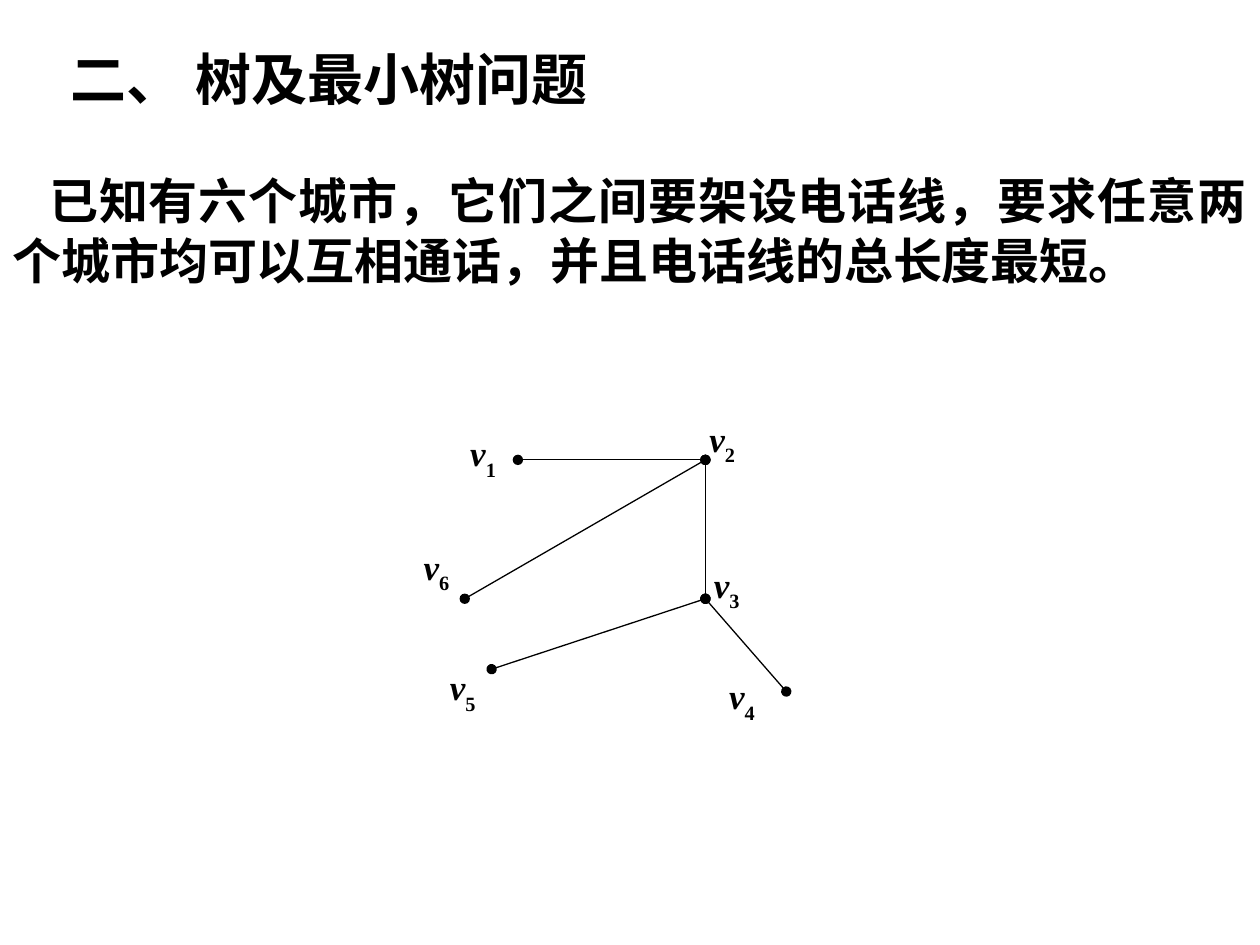
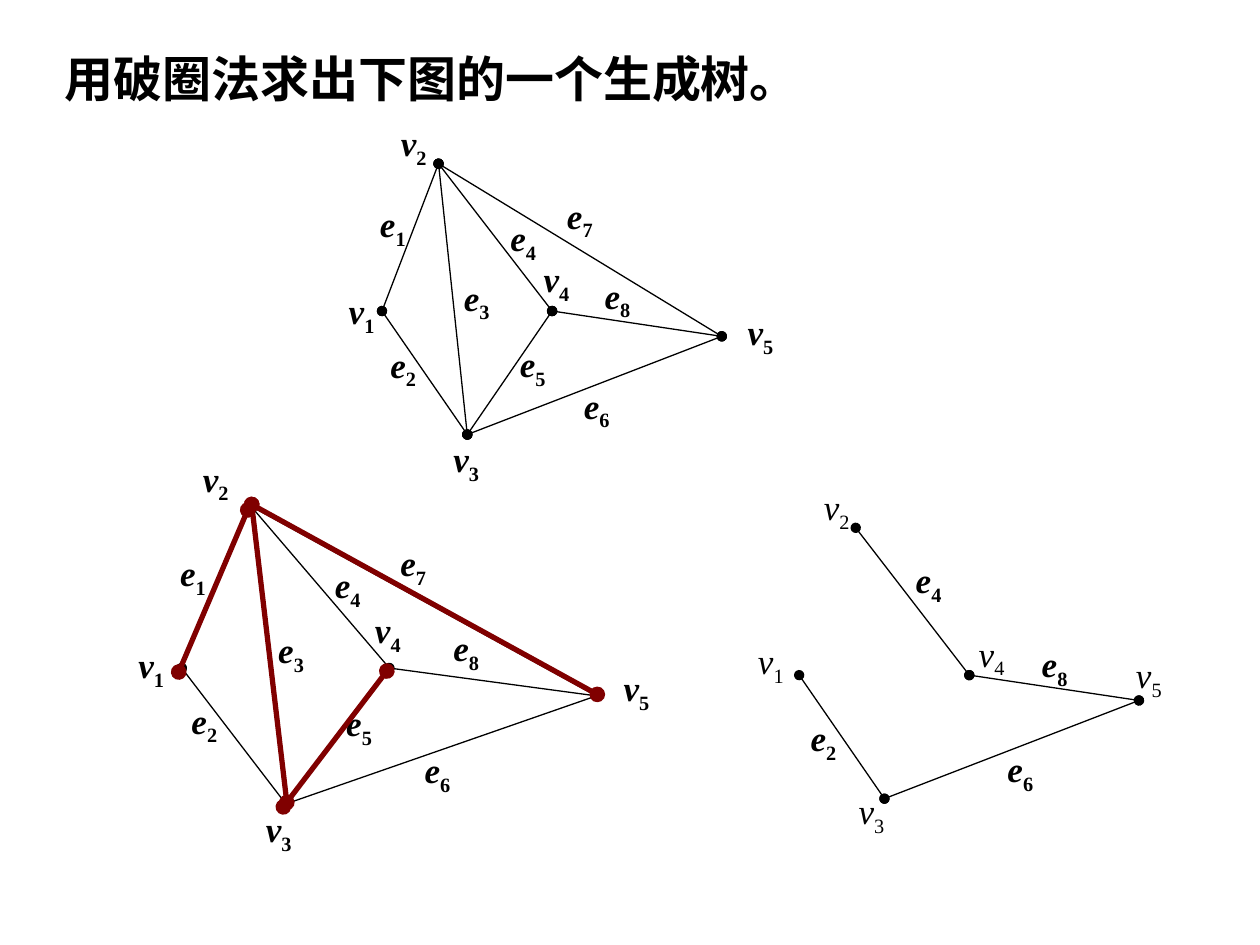
"""Build two slides on trees, spanning trees and the circuit-breaking method."""
from lxml import etree
from pptx import Presentation
from pptx.dml.color import RGBColor
from pptx.enum.shapes import MSO_CONNECTOR
from pptx.enum.text import PP_ALIGN
from pptx.oxml.ns import qn
from pptx.util import Cm, Pt

STRAIGHT = MSO_CONNECTOR.STRAIGHT
JUSTIFY = PP_ALIGN.JUSTIFY
COLORS = {"ink": "000000", "tree": "800000"}
HEADING_FONT = "Noto Sans CJK SC"
LABEL_FONT = "Times New Roman"
LINE_RATIO = 1.22

CITY_NODES = {
    "v1": (10.44, 9.27), "v2": (14.22, 9.27), "v3": (14.22, 12.07),
    "v4": (15.85, 13.94), "v5": (9.91, 13.49), "v6": (9.37, 12.07),
}
CITY_WIRES = {
    "v1-v2": ("v1", "v2"), "v2-v3": ("v2", "v3"), "v2-v6": ("v2", "v6"),
    "v3-v5": ("v3", "v5"), "v3-v4": ("v3", "v4"),
}
CITY_LABELS = {
    "v1": (9.23, 8.58), "v2": (14.05, 8.29), "v3": (14.14, 11.23),
    "v4": (14.45, 13.48), "v5": (8.82, 13.3), "v6": (8.29, 10.87),
}

NODES = {
    "v1": (7.7, 6.27), "v2": (8.84, 3.3), "v3": (9.42, 8.76),
    "v4": (11.13, 6.27), "v5": (14.55, 6.78),
}
EDGES = {
    "e1": ("v1", "v2"), "e2": ("v1", "v3"), "e6": ("v3", "v5"), "e7": ("v2", "v5"),
    "e3": ("v2", "v3"), "e4": ("v2", "v4"), "e5": ("v4", "v3"), "e8": ("v4", "v5"),
}
LABELS = {
    "v1": (6.78, 5.72), "v2": (7.83, 2.33), "v3": (8.89, 8.7),
    "v4": (10.71, 5.07), "v5": (14.82, 6.14),
    "e1": (7.41, 3.96), "e2": (7.62, 6.79), "e3": (9.1, 5.44), "e4": (10.04, 4.24),
    "e5": (10.23, 6.78), "e6": (11.52, 7.62), "e7": (11.18, 3.79), "e8": (11.94, 5.4),
}
COTREE_LABELS = {
    "v1": (15.03, 12.77), "v2": (16.36, 9.66), "v3": (17.06, 15.8),
    "v4": (19.48, 12.62), "v5": (22.65, 13.05),
    "e2": (16.09, 14.32), "e4": (18.21, 11.14), "e6": (20.06, 14.95), "e8": (20.75, 12.83),
}
TREE_LABELS = {
    "v1": (2.54, 12.85), "v2": (3.84, 9.09), "v3": (5.11, 16.15),
    "v4": (7.31, 12.14), "v5": (12.32, 13.31),
    "e1": (3.38, 11.0), "e2": (3.61, 13.97), "e3": (5.36, 12.55), "e4": (6.5, 11.23),
    "e5": (6.73, 14.02), "e6": (8.31, 14.96), "e7": (7.82, 10.8), "e8": (8.89, 12.5),
}
TREE_SHIFTS = {"e1": (-0.06, 0.08), "e3": (0.02, -0.03), "e5": (-0.05, 0.06), "e7": (0.02, -0.03)}


def place(points, scale=(1, 1), offset=(0, 0)):
    """Scale and move a dict of named points."""
    return {name: (x * scale[0] + offset[0], y * scale[1] + offset[1])
            for name, (x, y) in points.items()}


def pick(items, names):
    """Keep the named entries of a dict."""
    return {name: items[name] for name in names}


class Board:
    """Hold the style and the current slide."""

    def __init__(self):
        self.deck = Presentation()
        self.deck.slide_width, self.deck.slide_height = Cm(25.4), Cm(19.05)

    def new_page(self):
        """Start a blank slide."""
        self.page = self.deck.slides.add_slide(self.deck.slide_layouts[6])
        self.shapes = self.page.shapes

    def new_graph(self):
        """Send the next lines and labels to a new group."""
        self.shapes = self.page.shapes.add_group_shape().shapes

    def text_box(self, left, top, width, height):
        """Add a wrapping text box and return its text frame."""
        box = self.shapes.add_textbox(Cm(left), Cm(top), Cm(width), Cm(height))
        box.text_frame.word_wrap = True
        return box.text_frame

    def style(self, span, font, size, bold=True, italic=False):
        """Format one run for Latin and East Asian text."""
        span.font.name, span.font.size = font, Pt(size)
        span.font.bold, span.font.italic = bold, italic
        span.font.color.rgb = RGBColor.from_string(COLORS["ink"])
        etree.SubElement(span.font._element, qn("a:ea"), typeface=font)

    def heading(self, bounds, lines):
        """Add a box of bold lines given as text, size, indent and space after."""
        frame = self.text_box(*bounds)
        frame.text = "\n".join(line[0] for line in lines)
        for para, (_, size, indent, after) in zip(frame.paragraphs, lines):
            para.alignment = JUSTIFY
            para.line_spacing = Pt(round(size * LINE_RATIO, 1))
            para.space_after = Pt(after)
            para._p.get_or_add_pPr().set("indent", str(Cm(indent)))
            self.style(para.runs[0], HEADING_FONT, size)

    def label(self, name, point, size, drop, bold):
        """Add an italic letter with an upright subscript."""
        para = self.text_box(*point, *size).paragraphs[0]
        para.alignment = JUSTIFY
        for text, italic in ((name[0], True), (name[1:], False)):
            span = para.add_run()
            span.text = text
            self.style(span, LABEL_FONT, 20, bold, italic)
        span.font._element.set("baseline", str(-drop * 1000))

    def labels(self, points, size=(1.73, 1.5), drop=25, plain=""):
        """Add a set of labels, with those of the plain letter not bold."""
        for name, point in points.items():
            self.label(name, point, size, drop, name[0] != plain)

    def edge(self, start, end, color, weight):
        """Add a line with a dot at both ends."""
        line = self.shapes.add_connector(
            STRAIGHT, *(Cm(value) for value in (*start, *end)))
        line.line.color.rgb = RGBColor.from_string(COLORS[color])
        line.line.width = Pt(weight)
        outline = line.line._get_or_add_ln()
        for tag in ("a:headEnd", "a:tailEnd"):
            etree.SubElement(outline, qn(tag), type="oval")
        etree.SubElement(line._element.spPr, qn("a:effectLst"))

    def edges(self, nodes, edges, shifts=None, color="ink", weight=0.75):
        """Draw the edges between named nodes."""
        for name, ends in edges.items():
            shift = (shifts or {}).get(name, (0, 0))
            moved = place(pick(nodes, ends), offset=shift)
            self.edge(moved[ends[0]], moved[ends[1]], color, weight)


def city_page(board):
    """Draw the telephone line problem."""
    board.new_page()
    board.heading((0, 0.76, 25.4, 5.16), [
        ("二、 树及最小树问题", 32, 1.17, 33),
        ("已知有六个城市，它们之间要架设电话线，要求任意两个城市均可以互相通话，"
         "并且电话线的总长度最短。", 28, 0.74, 0),
    ])
    board.new_graph()
    board.edges(CITY_NODES, CITY_WIRES)
    board.labels(CITY_LABELS, size=(1.63, 1.4), drop=30)


def spanning_page(board):
    """Draw a graph, its spanning tree and the remaining edges."""
    board.new_page()
    board.heading((1.06, 0.84, 19.48, 1.45), [("用破圈法求出下图的一个生成树。", 28, 0, 0)])
    board.new_graph()
    board.edges(NODES, EDGES)
    board.labels(LABELS)

    board.new_graph()
    board.edges(place(NODES, offset=(8.41, 7.34)), pick(EDGES, ("e2", "e6", "e4", "e8")))
    board.labels(COTREE_LABELS, plain="v")

    board.new_graph()
    tree_nodes = place(NODES, scale=(1.22, 1.1), offset=(-5.73, 6.57))
    board.edges(tree_nodes, EDGES, pick(TREE_SHIFTS, ["e5"]))
    board.labels(TREE_LABELS, size=(2.08, 1.65))
    board.shapes = board.page.shapes
    board.edges(tree_nodes, pick(EDGES, TREE_SHIFTS), TREE_SHIFTS, "tree", 3)


def main():
    """Build and save the deck."""
    board = Board()
    city_page(board)
    spanning_page(board)
    board.deck.save("out.pptx")


if __name__ == "__main__":
    main()
